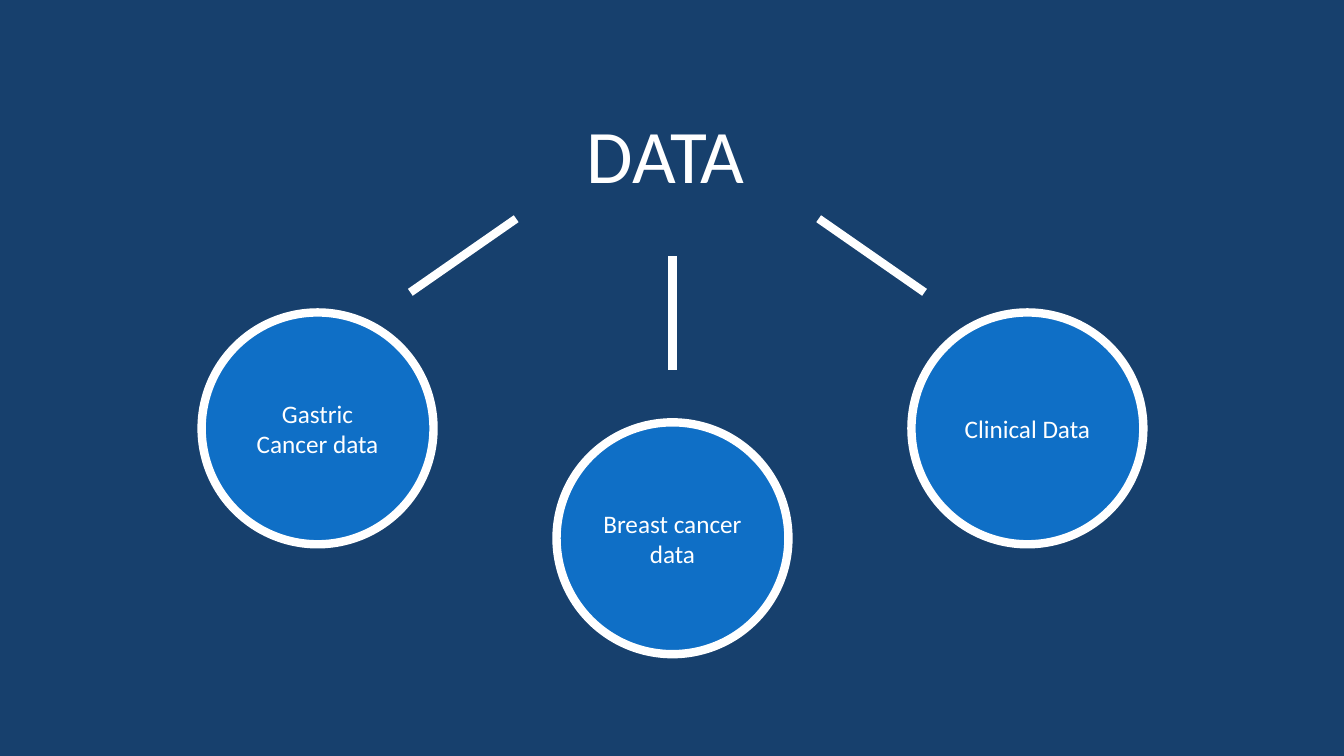
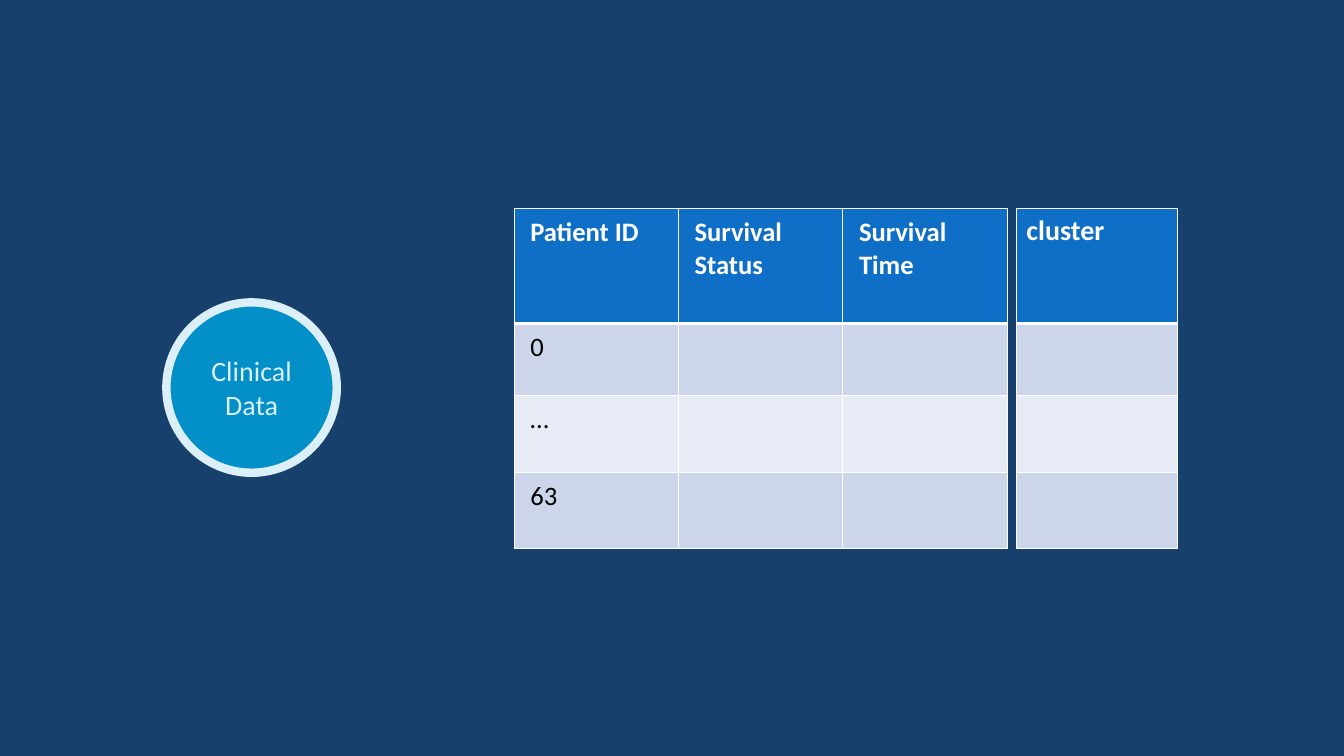
from lxml import etree
from pptx import Presentation
from pptx.dml.color import RGBColor
from pptx.enum.shapes import MSO_CONNECTOR as CONNECTOR, MSO_SHAPE as SHAPE
from pptx.enum.text import MSO_ANCHOR as ANCHOR, MSO_AUTO_SIZE as AUTO_SIZE, PP_ALIGN as ALIGN
from pptx.oxml.ns import qn
from pptx.util import Inches, Pt

COLORS = {
    "navy": "17406D", "blue": "0F6FC6", "cyan": "009DD9", "ice": "DBEFF9",
    "white": "FFFFFF", "black": "000000", "band_dark": "CCD5EA", "band_light": "E7EBF5",
}
FONT = "Calibri"
TITLE_ONLY, BLANK = 5, 6
STROKE = 6


def rgb(name):
    return RGBColor.from_string(COLORS[name])


class DeckBuilder:
    """Holds the shared style and the slide being filled."""

    def __init__(self):
        self.deck = Presentation()
        self.deck.slide_width, self.deck.slide_height = Inches(13.33), Inches(7.5)
        background = self.deck.slide_master.background.fill
        background.solid()
        background.fore_color.rgb = rgb("navy")
        self.page = None

    def new_page(self, layout):
        self.page = self.deck.slides.add_slide(self.deck.slide_layouts[layout])

    def style_text(self, frame, size, color, align=ALIGN.LEFT, bold=False):
        for para in frame.paragraphs:
            para.alignment = align
            for span in para.runs:
                span.font.name, span.font.size, span.font.bold = FONT, Pt(size), bold
                span.font.color.rgb = rgb(color)

    def title(self, text, left, top, width, height):
        box = self.page.shapes.title
        box.left, box.top, box.width, box.height = map(Inches, (left, top, width, height))
        frame = box.text_frame
        frame.text = text
        frame.vertical_anchor, frame.auto_size = ANCHOR.TOP, AUTO_SIZE.NONE
        self.style_text(frame, 54, "white")

    def circle(self, text, left, top, size, fill="blue", ink="white", points=18, opacity=100):
        disc = self.page.shapes.add_shape(
            SHAPE.OVAL, Inches(left), Inches(top), Inches(size), Inches(size))
        disc.shadow.inherit = False
        disc.fill.solid()
        disc.fill.fore_color.rgb = rgb(fill)
        if opacity < 100:
            color = disc.fill._xPr.find(qn("a:solidFill"))[0]
            etree.SubElement(color, qn("a:alpha"), val=str(opacity * 1000))
        disc.line.color.rgb, disc.line.width = rgb(ink), Pt(STROKE)
        disc.text_frame.text = text
        disc.text_frame.vertical_anchor = ANCHOR.MIDDLE
        self.style_text(disc.text_frame, points, ink, ALIGN.CENTER)

    def line(self, *ends):
        link = self.page.shapes.add_connector(CONNECTOR.STRAIGHT, *map(Inches, ends))
        link.line.color.rgb, link.line.width = rgb("white"), Pt(STROKE)
        etree.SubElement(link._element.spPr, qn("a:effectLst"))

    def cell_borders(self, cell, row):
        # The rule between header and body is thicker on both sides
        widths = {"L": 1, "R": 1, "T": 3 if row == 1 else 1, "B": 3 if row == 0 else 1}
        properties = cell._tc.get_or_add_tcPr()
        for side, width in widths.items():
            border = etree.SubElement(properties, qn(f"a:ln{side}"), w=str(Pt(width)))
            fill = etree.SubElement(border, qn("a:solidFill"))
            etree.SubElement(fill, qn("a:srgbClr"), val=COLORS["white"])

    def table(self, rows, left, top, column_width, row_heights, points, margins):
        columns = len(rows[0])
        grid = self.page.shapes.add_table(
            len(rows), columns, Inches(left), Inches(top),
            Inches(column_width * columns), Inches(sum(row_heights))).table
        grid.horz_banding = False
        for column in grid.columns:
            column.width = Inches(column_width)
        for r, (texts, height) in enumerate(zip(rows, row_heights)):
            grid.rows[r].height = Inches(height)
            header = r == 0
            fill = "blue" if header else ("band_light", "band_dark")[r % 2]
            for c, text in enumerate(texts):
                cell = grid.cell(r, c)
                self.cell_borders(cell, r)
                cell.fill.solid()
                cell.fill.fore_color.rgb = rgb(fill)
                cell.margin_left = cell.margin_right = Inches(margins[0])
                cell.margin_top = cell.margin_bottom = Inches(margins[1])
                if text:
                    cell.text_frame.text = text
                    self.style_text(cell.text_frame, points,
                                    "white" if header else "black", bold=header)


def data_sources(builder):
    builder.new_page(TITLE_ONLY)
    builder.title("DATA", 5.72, 1.02, 1.89, 1.01)
    # Three sources, the middle one lower
    sources = [("Gastric Cancer data", 3.1), ("Breast cancer data", 4.19), ("Clinical Data", 3.1)]
    for i, (text, top) in enumerate(sources):
        builder.circle(text, 2 + 3.52 * i, top, 2.3)
    # Branches from the title to the sources
    for ends in [(5.12, 2.17, 4.07, 2.9), (8.12, 2.17, 9.17, 2.9), (6.67, 2.54, 6.67, 3.67)]:
        builder.line(*ends)


def clinical_data(builder):
    builder.new_page(BLANK)
    builder.circle("Clinical Data", 1.65, 3, 1.69, "cyan", "ice", 20, 85)
    # Patient table with the cluster column set apart
    heights = [1.14, 0.71, 0.77, 0.75]
    patients = [["Patient ID", "Survival Status", "Survival Time"],
                ["0", "", ""], ["…", "", ""], ["63", "", ""]]
    builder.table(patients, 5.1, 2.07, 1.63, heights, 19, (0.16, 0.08))
    builder.table([["cluster"], [""], [""], [""]], 10.08, 2.07, 1.6, heights, 20, (0.1, 0.05))


def main():
    builder = DeckBuilder()
    data_sources(builder)
    clinical_data(builder)
    builder.deck.save("out.pptx")


if __name__ == "__main__":
    main()
